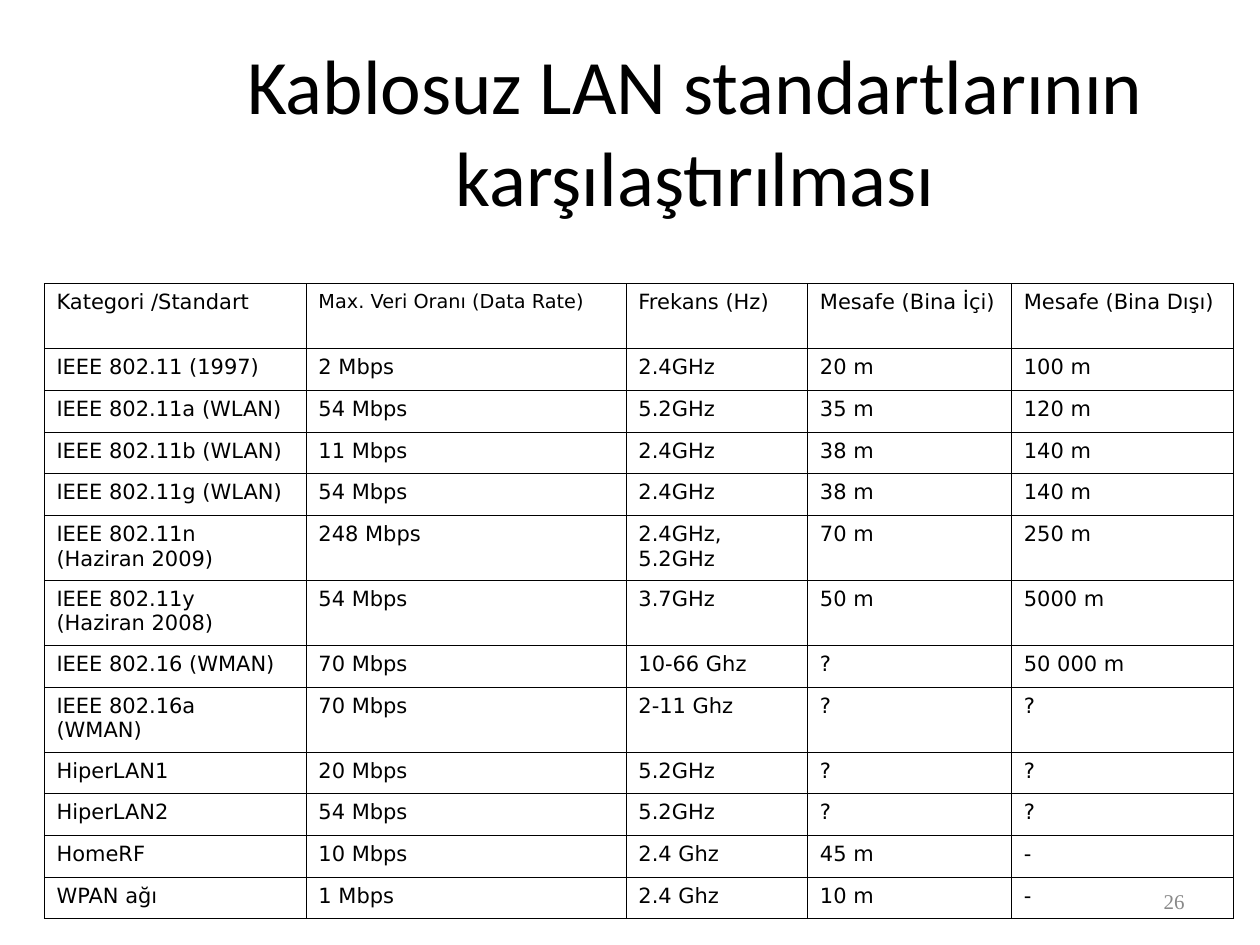
from typing import NamedTuple

from lxml import etree
from pptx import Presentation
from pptx import util as u
from pptx.dml.color import RGBColor
from pptx.enum import text
from pptx.oxml import ns

BLACK = RGBColor(0x00, 0x00, 0x00)
GRAY = RGBColor(0x89, 0x89, 0x89)
BORDER_WIDTH = u.Pt(0.45)
TABLE_FONT = "DejaVu Sans"
HANGING_INDENT = u.Cm(0.97)
SHORT_ROW, TALL_ROW = u.Cm(0.84), u.Cm(1.31)
COLUMN_WIDTHS = [u.Cm(width) for width in (5.28, 6.45, 3.66, 4.11, 4.47)]


class Label(NamedTuple):
    wording: str
    left: float
    top: float
    width: float
    height: float
    font: str
    size: float
    color: RGBColor
    alignment: text.PP_ALIGN


class Standard(NamedTuple):
    category: str
    data_rate: str
    frequency: str
    indoor_range: str
    outdoor_range: str


LABELS = [
    Label("Kablosuz LAN standartlarının karşılaştırılması", 3.2, 0.58, 21.64, 4.06,
          "Calibri", 44, BLACK, text.PP_ALIGN.CENTER),
    Label("26", 18.21, 17.65, 5.92, 1.02,
          "Times New Roman", 12, GRAY, text.PP_ALIGN.RIGHT),
]

HEADER = Standard("Kategori /Standart", "Max. Veri Oranı (Data Rate)", "Frekans (Hz)",
                  "Mesafe (Bina İçi)", "Mesafe (Bina Dışı)")
STANDARDS = [
    Standard("IEEE 802.11 (1997)", "2 Mbps", "2.4GHz", "20 m", "100 m"),
    Standard("IEEE 802.11a (WLAN)", "54 Mbps", "5.2GHz", "35 m", "120 m"),
    Standard("IEEE 802.11b (WLAN)", "11 Mbps", "2.4GHz", "38 m", "140 m"),
    Standard("IEEE 802.11g (WLAN)", "54 Mbps", "2.4GHz", "38 m", "140 m"),
    Standard("IEEE 802.11n\n(Haziran 2009)", "248 Mbps", "2.4GHz,\n5.2GHz", "70 m", "250 m"),
    Standard("IEEE 802.11y\n(Haziran 2008)", "54 Mbps", "3.7GHz", "50 m", "5000 m"),
    Standard("IEEE 802.16 (WMAN)", "70 Mbps", "10-66 Ghz", "?", "50 000 m"),
    Standard("IEEE 802.16a\n(WMAN)", "70 Mbps", "2-11 Ghz", "?", "?"),
    Standard("HiperLAN1", "20 Mbps", "5.2GHz", "?", "?"),
    Standard("HiperLAN2", "54 Mbps", "5.2GHz", "?", "?"),
    Standard("HomeRF", "10 Mbps", "2.4 Ghz", "45 m", "-"),
    Standard("WPAN ağı", "1 Mbps", "2.4 Ghz", "10 m", "-"),
]


def format_runs(paragraph, font: str, size: float, color: RGBColor) -> None:
    for run in paragraph.runs:
        run.font.name = font
        run.font.size = u.Pt(size)
        run.font.color.rgb = color


def add_label(slide, label: Label) -> None:
    shape = slide.shapes.add_textbox(u.Cm(label.left), u.Cm(label.top),
                                     u.Cm(label.width), u.Cm(label.height))
    frame = shape.text_frame
    frame.word_wrap = True
    frame.vertical_anchor = text.MSO_ANCHOR.MIDDLE
    frame.text = label.wording
    paragraph = frame.paragraphs[0]
    paragraph.alignment = label.alignment
    format_runs(paragraph, label.font, label.size, label.color)


def add_borders(cell) -> None:
    properties = cell._tc.get_or_add_tcPr()
    for side in ("L", "R", "T", "B"):
        line = etree.SubElement(properties, ns.qn(f"a:ln{side}"), w=str(BORDER_WIDTH))
        fill = etree.SubElement(line, ns.qn("a:solidFill"))
        etree.SubElement(fill, ns.qn("a:srgbClr"), val=str(BLACK))


def fill_cell(cell, wording: str, size: float) -> None:
    cell.margin_left = cell.margin_right = u.Cm(0.25)
    cell.margin_top = cell.margin_bottom = u.Cm(0.13)
    add_borders(cell)
    cell.fill.background()
    cell.text_frame.text = wording
    for paragraph in cell.text_frame.paragraphs:
        paragraph.alignment = text.PP_ALIGN.JUSTIFY
        properties = paragraph._p.get_or_add_pPr()
        properties.set("marL", str(HANGING_INDENT))
        properties.set("indent", str(-HANGING_INDENT))
        format_runs(paragraph, TABLE_FONT, size, BLACK)


def add_standards_table(slide) -> None:
    records = [HEADER, *STANDARDS]
    heights = [TALL_ROW if record is HEADER or "\n" in "".join(record) else SHORT_ROW
               for record in records]
    table = slide.shapes.add_table(len(records), len(COLUMN_WIDTHS), u.Cm(0.89), u.Cm(5.72),
                                   sum(COLUMN_WIDTHS), sum(heights)).table
    table.first_row = table.horz_banding = False
    for column, width in zip(table.columns, COLUMN_WIDTHS):
        column.width = width
    for row, height, record in zip(table.rows, heights, records):
        row.height = height
        for cell, wording in zip(row.cells, record):
            fill_cell(cell, wording, 11 if wording == HEADER.data_rate else 12)


def main() -> None:
    presentation = Presentation()
    presentation.slide_width, presentation.slide_height = u.Cm(25.4), u.Cm(19.05)
    slide = presentation.slides.add_slide(presentation.slide_layouts[6])
    title, slide_number = LABELS
    add_label(slide, title)
    add_standards_table(slide)
    add_label(slide, slide_number)
    presentation.save("out.pptx")


if __name__ == "__main__":
    main()
